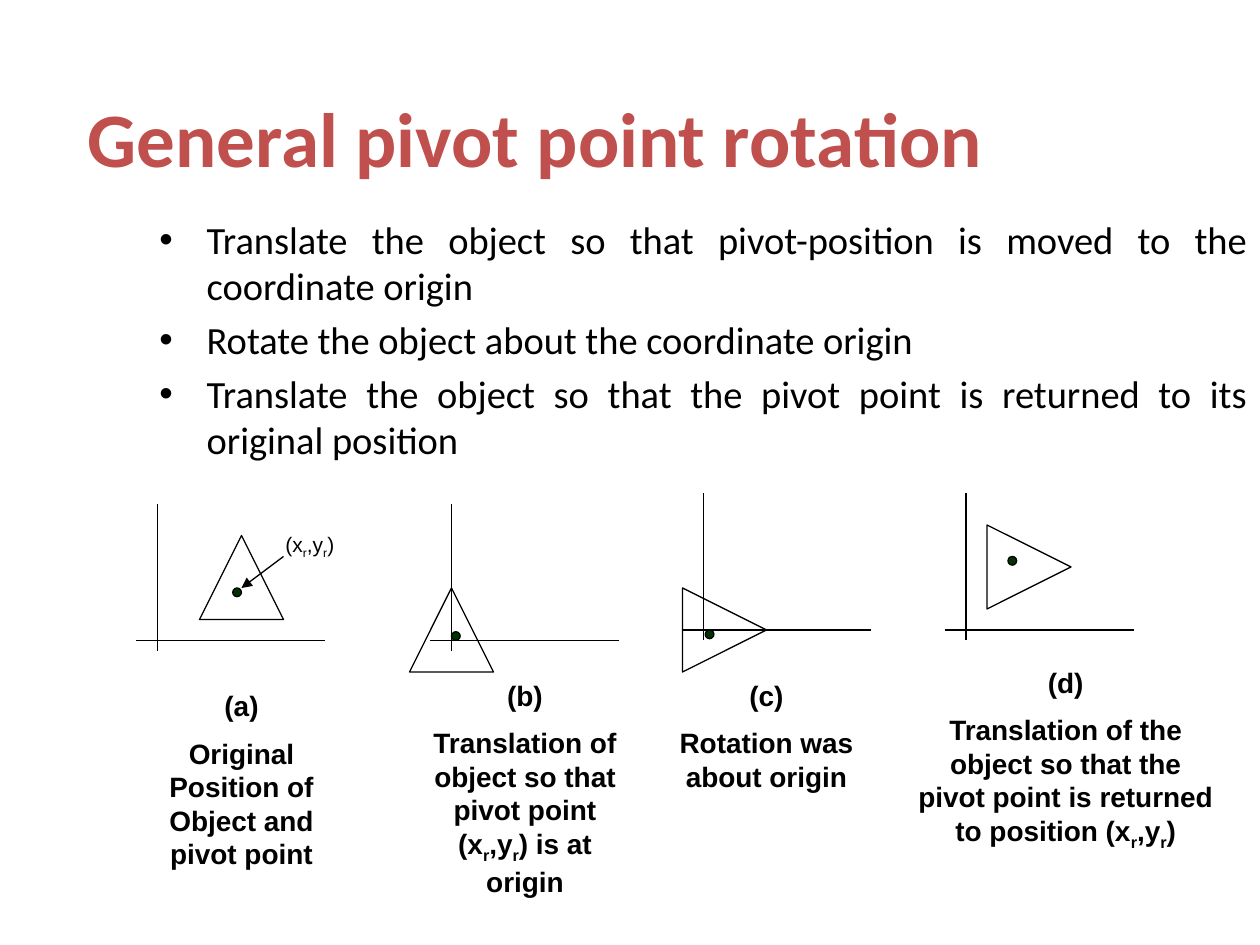
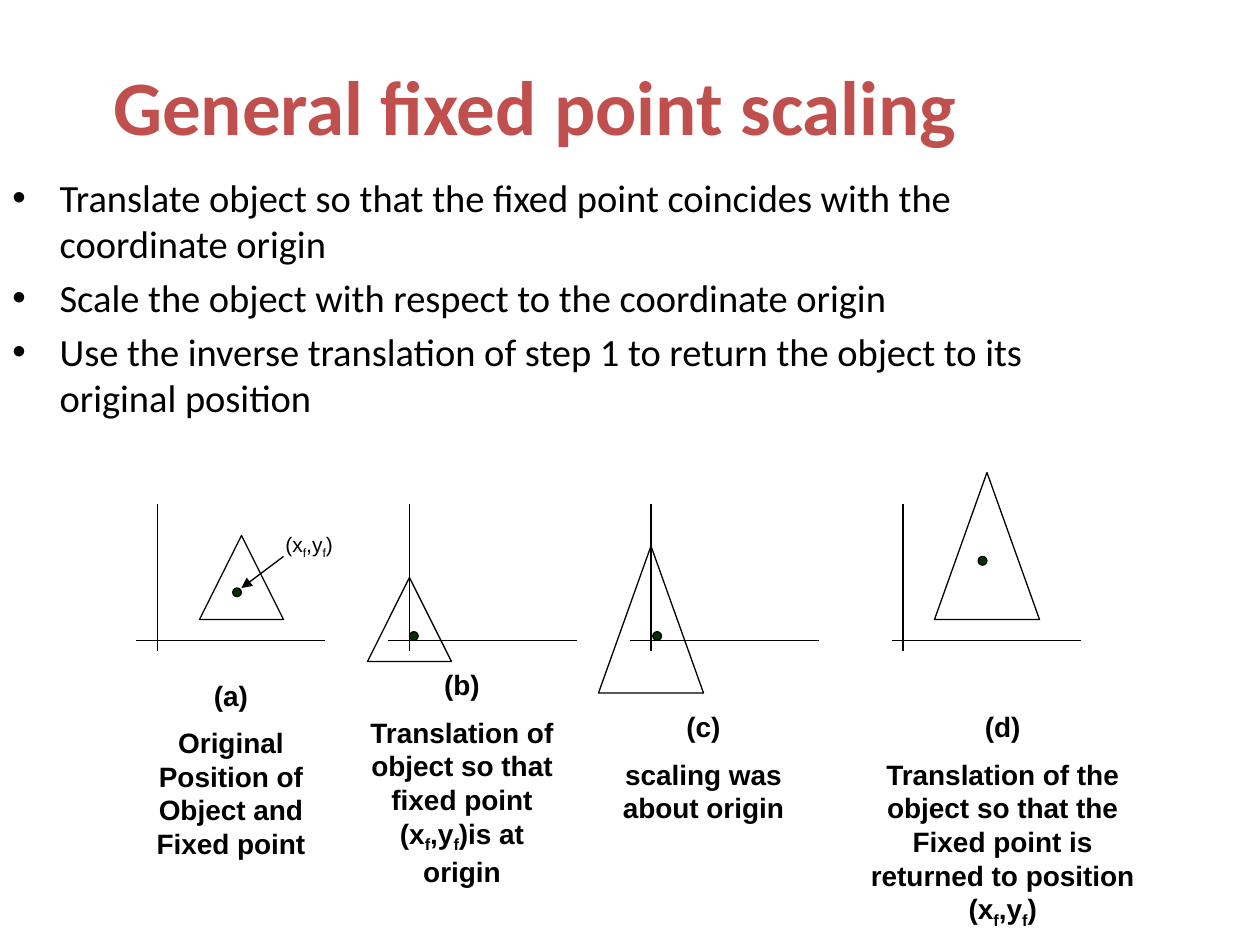
import pptx
import pptx.dml.color
import pptx.enum.shapes
import pptx.enum.text
import pptx.util
import lxml.etree
from pptx.oxml.ns import qn

Pt = pptx.util.Pt
Align = pptx.enum.text.PP_ALIGN
Anchor = pptx.enum.text.MSO_ANCHOR
AutoSize = pptx.enum.text.MSO_AUTO_SIZE
Shape = pptx.enum.shapes.MSO_SHAPE

BLACK, RED, GREEN = "000000", "C0504D", "003300"
TITLE_FONT = {"name": "Calibri", "size": Pt(44), "bold": True, "color": RED}
BODY_FONT = {"name": "Calibri", "size": Pt(22), "color": BLACK}
CAPTION_FONT = {"name": "Arial", "size": Pt(16), "bold": True, "color": BLACK}
LABEL_FONT = {"name": "Arial", "size": Pt(12), "color": BLACK}
LINE_WIDTH = 0.75
DOT_SIZE = 5
AXIS_LENGTH, AXIS_HEIGHT = 108, 84
INDENT = 27

# Per panel: axis crossing, reach of the x axis to the left of it,
# triangle box, quarter turns, dot corner, caption box, caption.
ROTATION = {
    "title": "General pivot point rotation",
    "title_box": (0, 18, 612, 90),
    "steps": [
        "Translate the object so that pivot-position is moved to the coordinate origin",
        "Rotate the object about the coordinate origin",
        "Translate the object so that the pivot point is returned to its original position",
    ],
    "steps_box": (84, 120, 636, 366),
    "steps_align": Align.JUSTIFY,
    "label": "(x_r,y_r)",
    "panels": [
        ((90, 366), 12, (114, 306, 48, 48), 0, (133, 336), (72, 390, 132, 142),
         "Original Position of Object and pivot point"),
        ((258, 366), 12, (234, 336, 48, 48), 0, (258, 361), (234, 384, 132, 132),
         "Translation of object so that pivot point (x_r,y_r) is at origin"),
        ((402, 360), 12, (390, 336, 48, 48), 1, (403, 360), (372, 384, 132, 75),
         "Rotation was about origin"),
        ((552, 360), 12, (564, 300, 48, 48), 1, (576, 318), (516, 376.5, 186, 113),
         "Translation of the object so that the pivot point is returned"
         " to position (x_r,y_r)"),
    ],
}
SCALING = {
    "title": "General fixed point scaling",
    "title_box": (0, 0, 612, 90),
    "steps": [
        "Translate object so that the fixed point coincides with the coordinate origin",
        "Scale the object with respect to the coordinate origin",
        "Use the inverse translation of step 1 to return the object to its original position",
    ],
    "steps_box": (0, 96, 612, 324),
    "steps_align": Align.LEFT,
    "label": "(x_f,y_f)",
    "panels": [
        ((90, 366), 12, (114, 306, 48, 48), 0, (133, 336), (66, 384, 132, 142),
         "Original Position of Object and Fixed point"),
        ((234, 366), 12, (210, 330, 48, 48), 0, (234, 361), (198, 378, 132, 132),
         "Translation of object so that fixed point (x_f,y_f)is at origin"),
        ((372, 366), 12, (342, 312, 60, 84), 0, (373, 361), (336, 402, 132, 75),
         "scaling was about origin"),
        ((516, 366), 6, (534, 270, 60, 84), 0, (559, 318), (480, 402, 186, 132),
         "Translation of the object so that the Fixed point is returned"
         " to position (x_f,y_f)"),
    ],
}


def color(hex_value):
    return pptx.dml.color.RGBColor.from_string(hex_value)


def points(values):
    return [Pt(value) for value in values]


def set_font(font, style):
    for name, value in style.items():
        if name == "color":
            font.color.rgb = color(value)
        else:
            setattr(font, name, value)


def add_span(para, text, style, subscript=False):
    if text:
        span = para.add_run()
        span.text = text
        set_font(span.font, style)
        if subscript:
            span._r.get_or_add_rPr().set("baseline", "-25000")


def write(para, text, style, align=Align.LEFT, space=0):
    """Fill a paragraph; the character after an underscore is a subscript."""
    para.alignment = align
    para.space_before = Pt(space)
    first, *rest = text.split("_")
    add_span(para, first, style)
    for part in rest:
        add_span(para, part[0], style, subscript=True)
        add_span(para, part[1:], style)


def add_bullet(para):
    properties = para._p.get_or_add_pPr()
    properties.set("marL", str(Pt(INDENT)))
    properties.set("indent", str(-Pt(INDENT)))
    font = lxml.etree.SubElement(properties, qn("a:buFont"))
    font.set("typeface", "Arial")
    lxml.etree.SubElement(properties, qn("a:buChar")).set("char", "\u2022")


def add_text(page, place, texts, style, align=Align.LEFT, space=0,
             bullets=False, fit=AutoSize.SHAPE_TO_FIT_TEXT):
    frame = page.shapes.add_textbox(*points(place)).text_frame
    frame.word_wrap = True
    frame.auto_size = fit
    for index, text in enumerate(texts):
        para = frame.add_paragraph() if index else frame.paragraphs[0]
        write(para, text, style, align, space)
        if bullets:
            add_bullet(para)


def add_title(page, text, place):
    title = page.shapes.title
    for name, value in zip(("left", "top", "width", "height"), points(place)):
        setattr(title, name, value)
    title.text_frame.vertical_anchor = Anchor.BOTTOM
    title.text_frame.auto_size = AutoSize.NONE
    write(title.text_frame.paragraphs[0], text, TITLE_FONT, Align.CENTER)


def add_line(page, start, end, arrow=False):
    line = page.shapes.add_connector(
        pptx.enum.shapes.MSO_CONNECTOR.STRAIGHT, *points(start + end))
    line.line.color.rgb = color(BLACK)
    line.line.width = Pt(LINE_WIDTH)
    if arrow:
        tail = lxml.etree.SubElement(line.line._get_or_add_ln(), qn("a:tailEnd"))
        tail.set("type", "triangle")
    lxml.etree.SubElement(line._element.spPr, qn("a:effectLst"))


def add_outline(page, kind, place, fill=None, rotation=0):
    shape = page.shapes.add_shape(kind, *points(place))
    shape.shadow.inherit = False
    shape.rotation = rotation
    shape.line.color.rgb = color(BLACK)
    shape.line.width = Pt(LINE_WIDTH)
    if fill:
        shape.fill.solid()
        shape.fill.fore_color.rgb = color(fill)
    else:
        shape.fill.background()


def add_panel(page, letter, crossing, reach, triangle, turns, dot, place, caption):
    x, y = crossing
    # Axes
    bottom = y + 6
    add_line(page, (x, bottom - AXIS_HEIGHT), (x, bottom))
    add_line(page, (x - reach, y), (x - reach + AXIS_LENGTH, y))
    # Object with its reference point
    add_outline(page, Shape.ISOSCELES_TRIANGLE, triangle, rotation=90 * turns)
    add_outline(page, Shape.FLOWCHART_CONNECTOR, dot + (DOT_SIZE, DOT_SIZE), GREEN)
    # Caption
    add_text(page, place, [f"({letter})", caption], CAPTION_FONT, Align.CENTER, 8)


def add_page(deck, content):
    page = deck.slides.add_slide(deck.slide_layouts.get_by_name("Title Only"))
    add_title(page, content["title"], content["title_box"])
    add_text(page, content["steps_box"], content["steps"], BODY_FONT,
             content["steps_align"], 4.4, bullets=True, fit=AutoSize.NONE)
    for letter, panel in zip("abcd", content["panels"]):
        add_panel(page, letter, *panel)
    # Pointer to the reference point in the first panel
    add_text(page, (156, 300, 66, 21.6), [content["label"]], LABEL_FONT, space=6)
    add_line(page, (162, 318), (138, 336), arrow=True)


def main():
    deck = pptx.Presentation()
    deck.slide_width, deck.slide_height = Pt(720), Pt(540)
    for content in (ROTATION, SCALING):
        add_page(deck, content)
    deck.save("out.pptx")


main()
